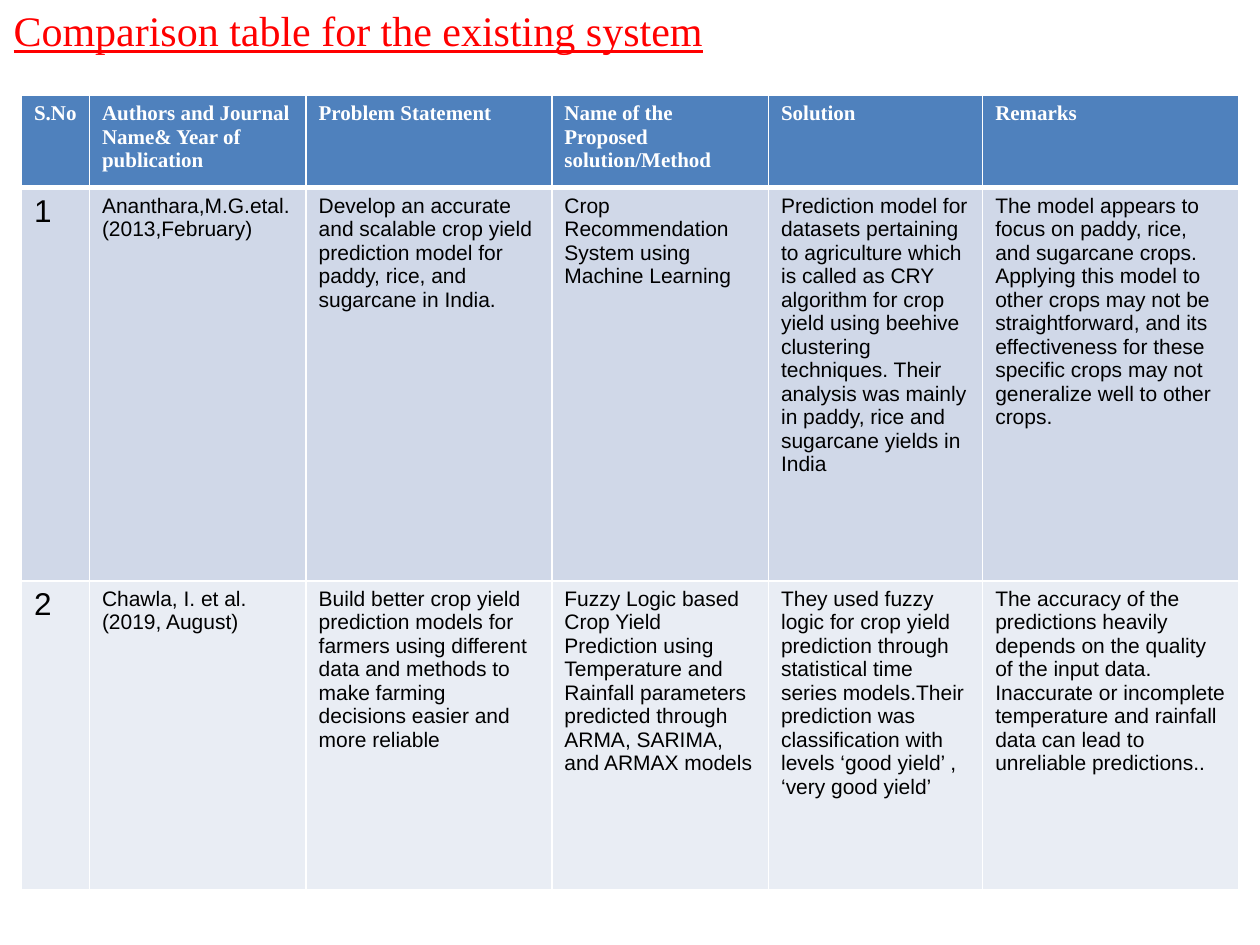
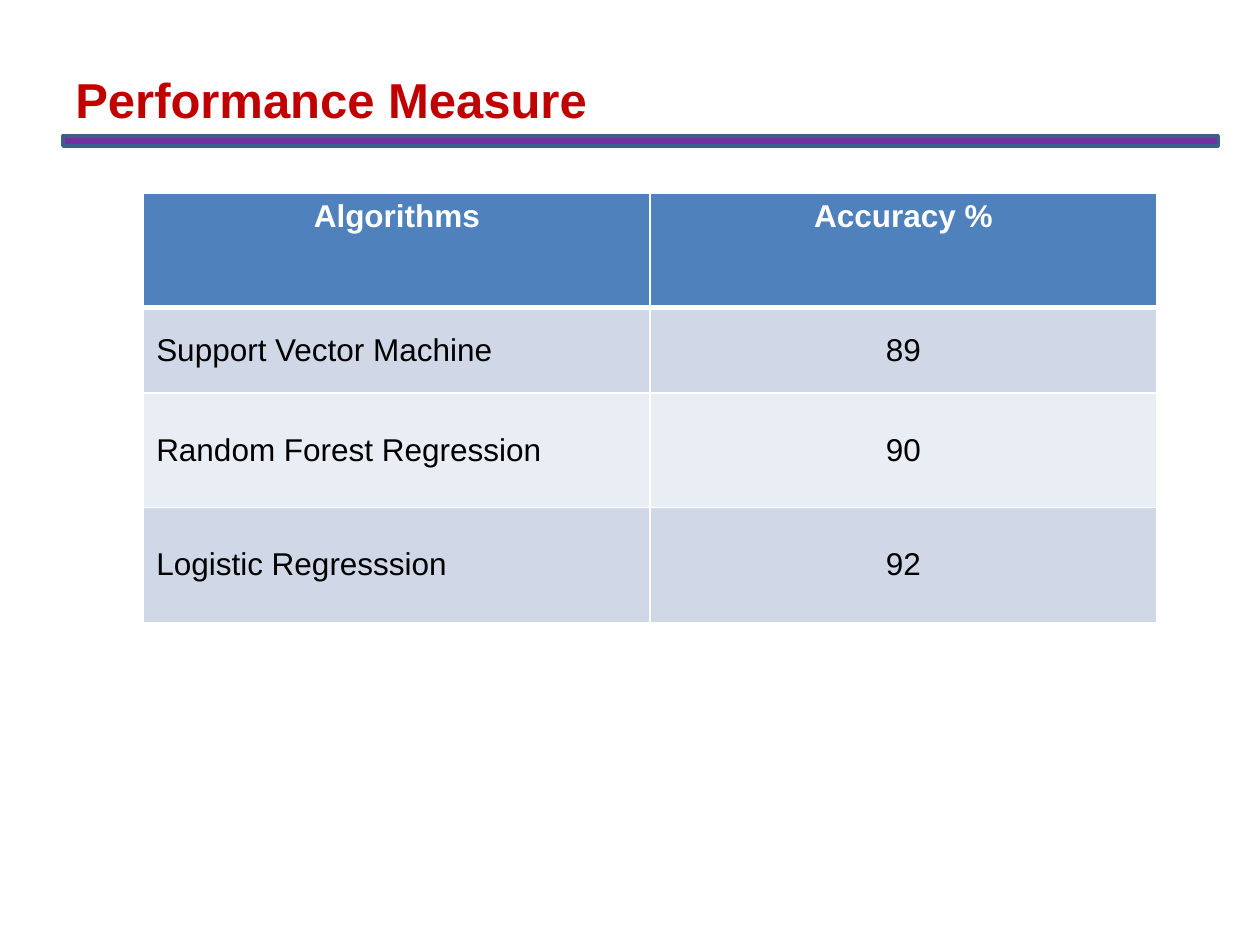
import pptx
import pptx.dml.color
import pptx.enum.shapes
import pptx.enum.text
import pptx.oxml
import pptx.oxml.ns
import pptx.util

Inches = pptx.util.Inches
Pt = pptx.util.Pt
ALIGN = pptx.enum.text.PP_ALIGN
ANCHOR = pptx.enum.text.MSO_ANCHOR

COLORS = {
    "white": "FFFFFF",
    "black": "000000",
    "header": "4F81BD",
    "band_dark": "D0D8E8",
    "band_light": "E9EDF4",
    "red": "FF0000",
    "dark_red": "C00000",
    "purple": "7030A0",
    "bar_line": "3A5F8B",
}
SANS = "Arial"
SERIF = "Times New Roman"


def color(name):
    return pptx.dml.color.RGBColor.from_string(COLORS[name])


def write(frame, text, size=18, font=SANS, fill="black", bold=False,
          underline=False, align=ALIGN.LEFT):
    """Put one formatted paragraph into a text frame."""
    para = frame.paragraphs[0]
    para.alignment = align
    span = para.add_run()
    span.text = text
    span.font.size = Pt(size)
    span.font.name = font
    span.font.bold = bold
    span.font.underline = underline
    span.font.color.rgb = color(fill)


def set_borders(cell, bottom=1, top=1):
    """Draw white cell borders; widths are in points."""
    properties = cell._tc.get_or_add_tcPr()
    for side, width in (("L", 1), ("R", 1), ("T", top), ("B", bottom)):
        properties.append(pptx.oxml.parse_xml(
            f'<a:ln{side} {pptx.oxml.ns.nsdecls("a")} w="{Pt(width)}">'
            f'<a:solidFill><a:srgbClr val="{COLORS["white"]}"/></a:solidFill>'
            f'</a:ln{side}>'))


class Slides:
    """The deck, its style and the current page."""

    def __init__(self):
        self.deck = pptx.Presentation()
        self.deck.slide_width = Inches(10)
        self.deck.slide_height = Inches(7.5)
        self.page = None

    def new_page(self):
        self.page = self.deck.slides.add_slide(self.deck.slide_layouts[6])

    def title(self, text, left, top, width, height, **style):
        box = self.page.shapes.add_textbox(
            Inches(left), Inches(top), Inches(width), Inches(height))
        box.text_frame.word_wrap = True
        box.text_frame.auto_size = pptx.enum.text.MSO_AUTO_SIZE.SHAPE_TO_FIT_TEXT
        write(box.text_frame, text, **style)

    def bar(self, left, top, width, height):
        bar = self.page.shapes.add_shape(
            pptx.enum.shapes.MSO_SHAPE.RECTANGLE,
            Inches(left), Inches(top), Inches(width), Inches(height))
        bar.shadow.inherit = False
        bar.fill.solid()
        bar.fill.fore_color.rgb = color("purple")
        bar.line.color.rgb = color("bar_line")
        bar.line.width = Pt(2)

    def table(self, rows, left, top, widths, heights, header_style,
              column_styles, anchor=ANCHOR.TOP):
        """Banded table; column_styles format the body cells by column."""
        table = self.page.shapes.add_table(
            len(rows), len(widths), Inches(left), Inches(top),
            Inches(sum(widths)), Inches(sum(heights))).table
        for column, width in zip(table.columns, widths):
            column.width = Inches(width)
        for row, height in zip(table.rows, heights):
            row.height = Inches(height)
        for r, texts in enumerate(rows):
            for c, text in enumerate(texts):
                cell = table.cell(r, c)
                set_borders(cell, bottom=3 if r == 0 else 1, top=3 if r == 1 else 1)
                cell.fill.solid()
                if r == 0:
                    fill = "header"
                    style = dict(fill="white", bold=True, **header_style)
                else:
                    fill = "band_dark" if r % 2 else "band_light"
                    style = column_styles[c]
                    cell.vertical_anchor = anchor
                cell.fill.fore_color.rgb = color(fill)
                write(cell.text_frame, text, **style)


STUDIES = [
    ["S.No", "Authors and Journal Name& Year of publication", "Problem Statement",
     "Name of the Proposed solution/Method", "Solution", "Remarks"],
    ["1", "Ananthara,M.G.etal.(2013,February)",
     "Develop an accurate and scalable crop yield prediction model for paddy, "
     "rice, and sugarcane in India.",
     "Crop Recommendation System using Machine Learning",
     "Prediction model for datasets pertaining to agriculture which is called as "
     "CRY algorithm for crop yield using beehive clustering techniques. Their "
     "analysis was mainly in paddy, rice and sugarcane yields in India",
     "The model appears to focus on paddy, rice, and sugarcane crops. Applying "
     "this model to other crops may not be straightforward, and its effectiveness "
     "for these specific crops may not generalize well to other crops."],
    ["2", "Chawla, I. et al. (2019, August)",
     "Build better crop yield prediction models for farmers using different data "
     "and methods to make farming decisions easier and more reliable",
     "Fuzzy Logic based Crop Yield Prediction using Temperature and Rainfall "
     "parameters predicted through ARMA, SARIMA, and ARMAX models",
     "They used fuzzy logic for crop yield prediction through statistical time "
     "series models.Their prediction was classification with levels ‘good yield’ , "
     "‘very good yield’",
     "The accuracy of the predictions heavily depends on the quality of the input "
     "data. Inaccurate or incomplete temperature and rainfall data can lead to "
     "unreliable predictions.."],
]

ACCURACY = [
    ["Algorithms", "Accuracy %"],
    ["Support Vector Machine", "89"],
    ["Random Forest Regression", "90"],
    ["Logistic Regresssion", "92"],
]


def main():
    slides = Slides()

    # Comparison of existing systems
    slides.new_page()
    slides.title("Comparison table for the existing system", 0.01, -0.01, 9.83, 0.5,
                 size=24, font=SERIF, fill="red", underline=True)
    slides.table(STUDIES, 0.17, 0.76,
                 widths=[0.54, 1.72, 1.95, 1.72, 1.7, 2.03],
                 heights=[0.73, 3.12, 2.45],
                 header_style=dict(size=12, font=SERIF),
                 column_styles=[dict(size=18)] + [dict(size=12)] * 5)

    # Accuracy of the algorithms
    slides.new_page()
    slides.bar(0.5, 1.08, 9.17, 0.08)
    slides.title("Performance Measure", 0.5, 0.5, 4.74, 0.57,
                 size=28, fill="dark_red", bold=True)
    slides.table(ACCURACY, 1.14, 1.53,
                 widths=[4.02] * 2, heights=[0.91, 0.68, 0.91, 0.91],
                 header_style=dict(align=ALIGN.CENTER),
                 column_styles=[dict(), dict(align=ALIGN.CENTER)],
                 anchor=ANCHOR.MIDDLE)

    slides.deck.save("out.pptx")


if __name__ == "__main__":
    main()
